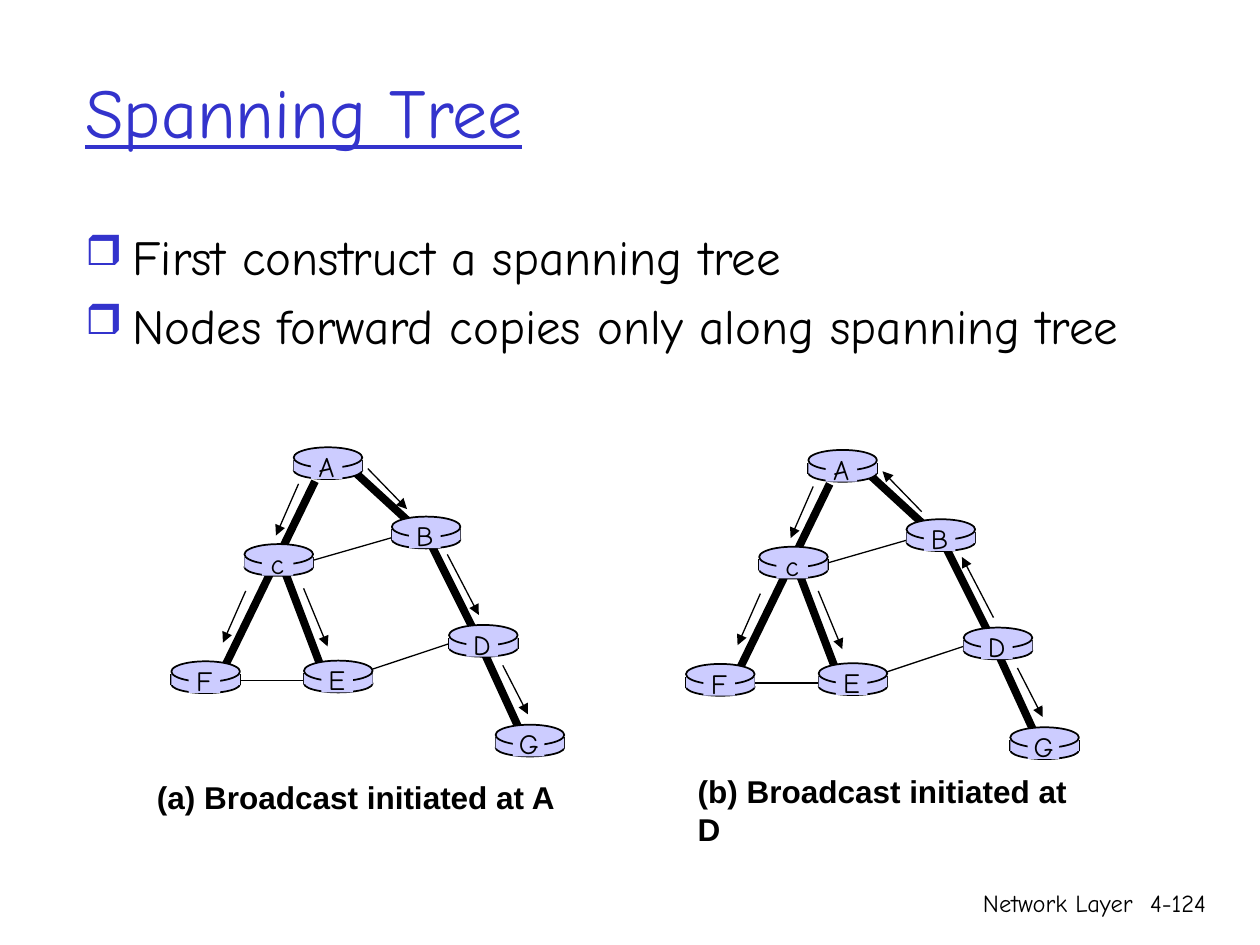
from dataclasses import dataclass

from lxml.etree import SubElement
from pptx import Presentation
from pptx.dml.color import RGBColor
from pptx.enum.shapes import MSO_CONNECTOR, MSO_SHAPE
from pptx.enum.text import MSO_ANCHOR, PP_ALIGN
from pptx.oxml.ns import qn
from pptx.util import Pt


@dataclass(frozen=True)
class Theme:
    ink: RGBColor = RGBColor(0x00, 0x00, 0x00)
    accent: RGBColor = RGBColor(0x33, 0x33, 0xCC)
    node: RGBColor = RGBColor(0xCC, 0xCC, 0xFF)
    font: str = "Comic Neue"
    caption_font: str = "Arial"
    title: int = 40
    body: int = 28
    caption: int = 18
    label: int = 16
    footer: int = 14
    thin: float = 0.75
    outline: float = 1
    thick: float = 4.5


THEME = Theme()
ROUTER_WIDTH = 39.2

# Left and top of each router, in points
ROUTERS = {
    "A": (167.8, 255.6),
    "B": (223.9, 295.2),
    "G": (283.2, 414.1),
    "D": (256.6, 357.1),
    "E": (173.7, 377.5),
    "c": (139.7, 310.9),
    "F": (97.9, 377.9),
}
# Each line runs from (x1, y1) to (x2, y2)
TREE_LINKS = [
    (244.1, 306.7, 270.7, 360),
    (271.4, 361.4, 298.8, 421.2),
    (183.6, 381.6, 162, 324.7),
    (203, 270, 238.3, 302.4),
    (180, 275, 126.7, 384.5),
]
OTHER_LINKS = [
    (258.5, 367.2, 211, 383),
    (185.8, 388.8, 127.4, 388.8),
    (175.7, 321.1, 228.2, 306),
]
ARROWS = {
    "Ac": (170.6, 276.5, 157.7, 306),
    "cF": (140.4, 337.7, 127.4, 367.2),
    "AB": (210.2, 267.8, 232.6, 290.9),
    "BD": (255.6, 316.8, 273.6, 351.4),
    "DG": (287.3, 380.2, 301.7, 408.2),
    "cE": (173.5, 336.2, 187.2, 369.4),
}


def add_bullet(para):
    properties = para._p.get_or_add_pPr()
    properties.set("marL", str(Pt(27)))
    properties.set("indent", str(Pt(-27)))
    color = SubElement(properties, qn("a:buClr"))
    SubElement(color, qn("a:srgbClr"), val=str(THEME.accent))
    SubElement(properties, qn("a:buSzPct"), val="85000")
    SubElement(properties, qn("a:buChar"), char="❒")


def add_text(shapes, text, left, top, width, height, *, size, font=THEME.font,
             color=THEME.ink, align=PP_ALIGN.LEFT, anchor=MSO_ANCHOR.TOP,
             bold=False, underline=False, wrap=True, bullet=False, gap=0):
    """Add a text box with one paragraph for each line of text."""
    box = shapes.add_textbox(Pt(left), Pt(top), Pt(width), Pt(height))
    frame = box.text_frame
    frame.word_wrap = wrap
    frame.vertical_anchor = anchor
    for index, line in enumerate(text.split("\n")):
        para = frame.add_paragraph() if index else frame.paragraphs[0]
        para.alignment = align
        if index:
            para.space_before = Pt(gap)
        if bullet:
            add_bullet(para)
        span = para.add_run()
        span.text = line
        span.font.name = font
        span.font.size = Pt(size)
        span.font.bold = bold
        span.font.underline = underline
        span.font.color.rgb = color


def add_line(shapes, x1, y1, x2, y2, weight, arrow=False):
    line = shapes.add_connector(MSO_CONNECTOR.STRAIGHT, Pt(x1), Pt(y1), Pt(x2), Pt(y2))
    line.line.color.rgb = THEME.ink
    line.line.width = Pt(weight)
    if arrow:
        SubElement(line.line._get_or_add_ln(), qn("a:tailEnd"), type="triangle")
    SubElement(line._element.spPr, qn("a:effectLst"))


def add_filled(shapes, kind, left, top, width, height, outlined=False):
    shape = shapes.add_shape(kind, Pt(left), Pt(top), Pt(width), Pt(height))
    shape.shadow.inherit = False
    shape.fill.solid()
    shape.fill.fore_color.rgb = THEME.node
    if outlined:
        shape.line.color.rgb = THEME.ink
        shape.line.width = Pt(THEME.outline)
    else:
        shape.line.fill.background()


def add_router(shapes, name, left, top):
    """Draw a flat cylinder with its letter in a gap in the rim."""
    side = top + 7.3
    add_filled(shapes, MSO_SHAPE.OVAL, left, top + 8.1, ROUTER_WIDTH, 10.1, outlined=True)
    for x in (left, left + ROUTER_WIDTH):
        add_line(shapes, x, side, x, side + 6.2, THEME.outline)
    add_filled(shapes, MSO_SHAPE.RECTANGLE, left, side, ROUTER_WIDTH, 6.2)
    add_filled(shapes, MSO_SHAPE.OVAL, left, top, ROUTER_WIDTH, 11.7, outlined=True)
    add_filled(shapes, MSO_SHAPE.RECTANGLE, left + 9.9, top + 1.7, 18, 16.4)
    add_text(shapes, name, left + 6.2, top - 2.3, 25.2, 26.6, size=THEME.label,
             align=PP_ALIGN.CENTER, wrap=False)


def add_network(page, dx, dy, reversed_arrows=()):
    """Draw the network moved by dx and dy, with some arrows turned round."""
    shapes = page.shapes.add_group_shape().shapes

    def add_moved_line(ends, weight, arrow=False):
        x1, y1, x2, y2 = ends
        add_line(shapes, x1 + dx, y1 + dy, x2 + dx, y2 + dy, weight, arrow)

    for link in TREE_LINKS:
        add_moved_line(link, THEME.thick)
    for link in OTHER_LINKS:
        add_moved_line(link, THEME.thin)
    for name, (left, top) in ROUTERS.items():
        add_router(shapes, name, left + dx, top + dy)
    for name, ends in ARROWS.items():
        if name in reversed_arrows:
            ends = ends[2:] + ends[:2]
        add_moved_line(ends, THEME.thin, arrow=True)


def main():
    deck = Presentation()
    deck.slide_width, deck.slide_height = Pt(720), Pt(540)
    page = deck.slides.add_slide(deck.slide_layouts[6])
    shapes = page.shapes

    add_text(shapes, "Spanning Tree", 41.75, 18, 612, 90, size=THEME.title,
             color=THEME.accent, anchor=MSO_ANCHOR.MIDDLE, underline=True)
    add_text(shapes, "First construct a spanning tree\n"
             "Nodes forward copies only along spanning tree",
             41.75, 126, 612, 146, size=THEME.body, bullet=True, gap=5.6)

    add_network(page, 0, 0)
    add_network(page, 294.1, 1.5, reversed_arrows=("AB", "BD"))
    for text, left, top in (("(a) Broadcast initiated at A", 82.6, 440.9),
                            ("(b) Broadcast initiated at D", 391.6, 437.5)):
        add_text(shapes, text, left, top, 243, 29, size=THEME.caption,
                 font=THEME.caption_font, bold=True, wrap=False)

    for text, left, width in (("Network Layer", 426.2, 228.2), ("4-124", 643, 53.3)):
        add_text(shapes, text, left, 504, width, 36, size=THEME.footer,
                 align=PP_ALIGN.RIGHT)

    deck.save("out.pptx")


if __name__ == "__main__":
    main()
